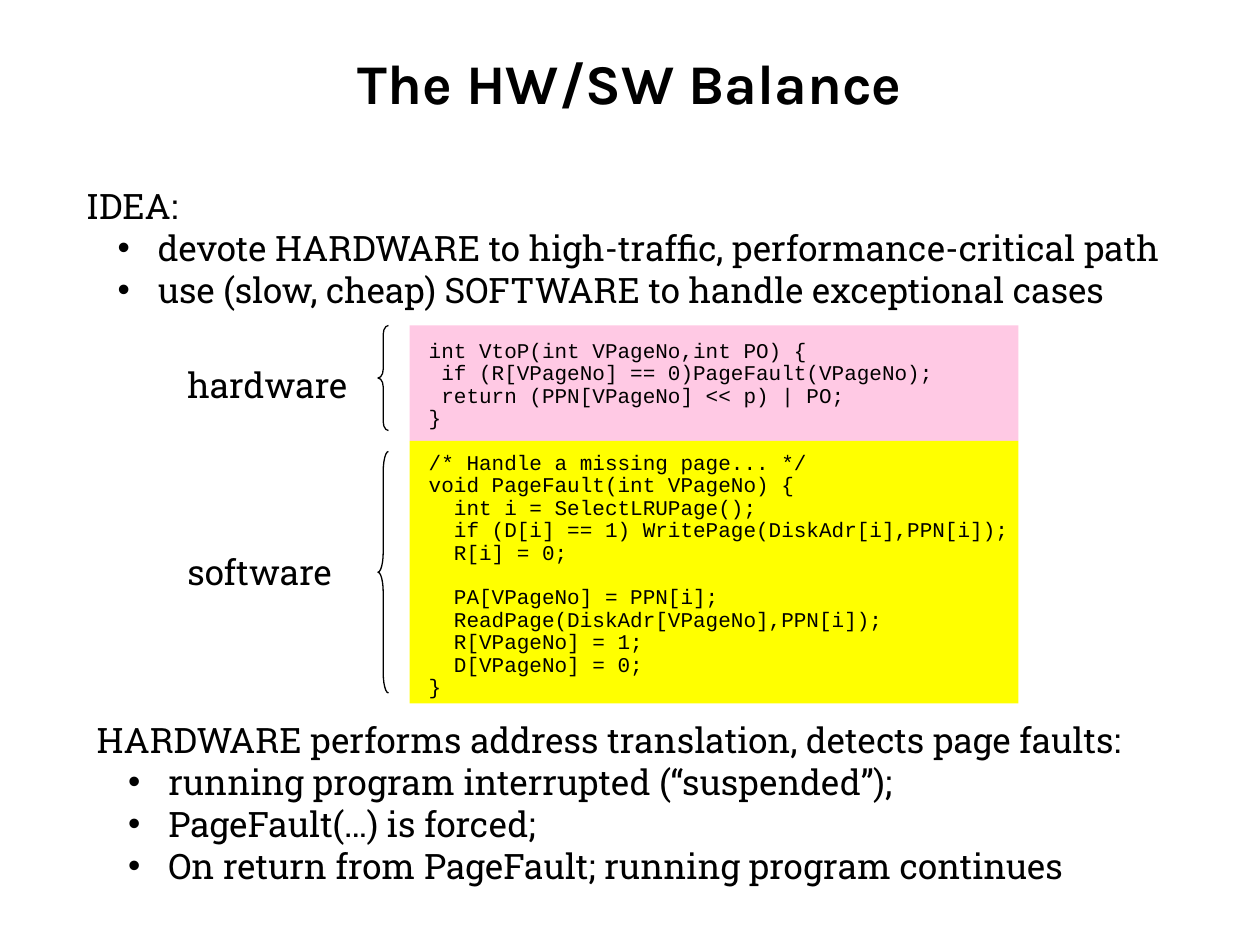
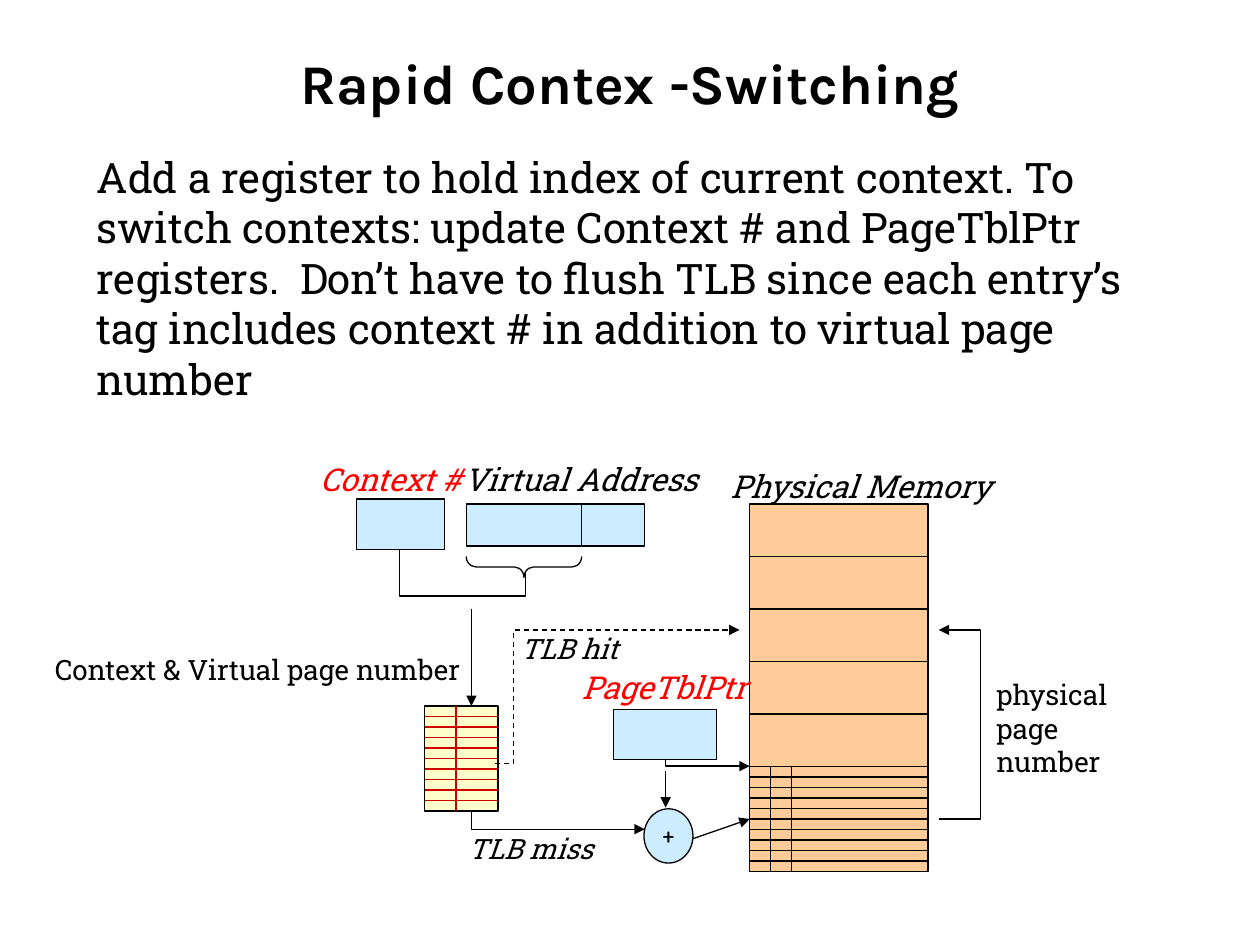
from itertools import pairwise
from lxml.etree import SubElement as Sub
from pptx import Presentation
from pptx.dml.color import RGBColor as Rgb
from pptx.enum.dml import MSO_LINE as Dash
from pptx.enum.shapes import MSO_CONNECTOR as Conn, MSO_SHAPE as Form
from pptx.enum.text import MSO_ANCHOR as Anchor, MSO_AUTO_SIZE as Auto, PP_ALIGN as Align
from pptx.oxml.ns import qn
from pptx.util import Pt

BLACK, RED, RULE = "000000", "FF0000", "CC0000"
PINK, YELLOW, BLUE, CREAM, PEACH = "FFC9E4", "FFFF00", "CCECFF", "FFFFCC", "FFCC99"
HEAD, BODY, CODE = "Karla", "Roboto Slab", "Courier New"
GAP = 12.8

LISTS = [
    ((42, 102, 665, 80), "IDEA:", [
        "devote HARDWARE to high-traffic, performance-critical path",
        "use (slow, cheap) SOFTWARE to handle exceptional cases"]),
    ((48, 407, 634, 104), "HARDWARE performs address translation, detects page faults:", [
        "running program interrupted (“suspended”);",
        "PageFault(…) is forced;",
        "On return from PageFault; running program continues"]),
]

PARTS = [
    ("hardware", 204, PINK, (186, 66), 8.6, (186, 60), """\
int VtoP(int VPageNo,int PO) {
 if (R[VPageNo] == 0)PageFault(VPageNo);
 return (PPN[VPageNo] << p) | PO;
}"""),
    ("software", 311, YELLOW, (252, 150), 6.6, (258, 138), """\
/* Handle a missing page... */
void PageFault(int VPageNo) {
  int i = SelectLRUPage();
  if (D[i] == 1) WritePage(DiskAdr[i],PPN[i]);
  R[i] = 0;

  PA[VPageNo] = PPN[i];
  ReadPage(DiskAdr[VPageNo],PPN[i]);
  R[VPageNo] = 1;
  D[VPageNo] = 0;
}"""),
]

INTRO = ("Add a register to hold index of current context. To switch contexts: "
         "update Context # and PageTblPtr registers.  Don’t have to flush TLB since "
         "each entry’s tag includes context # in addition to virtual page number")

LABELS = [
    ("Virtual Address", (257.8, 259.2, 156, 29), 18, BLACK, True, Align.LEFT),
    ("Physical Memory", (410.4, 263.5, 167, 29), 18, BLACK, True, Align.LEFT),
    ("Context #", (175.7, 259.2, 101.5, 29), 18, RED, True, Align.LEFT),
    ("PageTblPtr", (325.4, 378, 113, 29), 18, RED, True, Align.LEFT),
    ("TLB hit", (290.2, 357.1, 74, 27), 16, BLACK, True, Align.LEFT),
    ("TLB miss", (260.6, 471.6, 91, 27), 16, BLACK, True, Align.LEFT),
    ("Context & Virtual page number", (7.2, 369.4, 263, 27), 16, BLACK, False, Align.RIGHT),
    ("physical\npage\nnumber", (562.3, 383.8, 80, 66), 16, BLACK, False, Align.LEFT),
]

TLB = (242.6, 403.4, 42, 60)
ADDR = (266.4, 288, 102, 24)
MEM = (428.4, 288, 102, 210)
CONTEXT = (203.8, 285.1, 50.4, 28.8)
TABLE = (350.6, 405.4, 59, 28.8)
ADDER = (368, 462.2, 28, 31)

ARROWS = [
    ((380.4, 440.6), (380.4, 461.5)),
    ((395.3, 479.5), (428.4, 468)),
    ((269.4, 347.8), (269.4, 403.4)),
]
ROUTES = [
    ([(269.4, 463.4), (269.4, 473.8), (368.4, 473.8)], True, False),
    ([(536.4, 468), (560.4, 468), (560.4, 360), (536.4, 360)], True, False),
    ([(380.4, 409), (380.4, 437.8), (428.4, 437.8)], True, False),
    ([(282.8, 436.3), (293.6, 436.3), (293.6, 360), (422.6, 360)], True, True),
    ([(300.2, 326.2), (300.2, 340.6), (228.2, 340.6), (228.2, 311.8)], False, False),
]


def tint(hex):
    return Rgb.from_string(hex)


def pts(*nums):
    return [Pt(num) for num in nums]


def place(item, box):
    item.left, item.top, item.width, item.height = pts(*box)


def write(para, text, size, font=BODY, hue=BLACK, bold=False, slant=False):
    run = para.add_run()
    run.text = text
    face = run.font
    face.name, face.size, face.bold, face.italic = font, Pt(size), bold, slant
    face.color.rgb = tint(hue)


def lines(frame, count):
    return [frame.paragraphs[0]] + [frame.add_paragraph() for _ in range(count - 1)]


def mark(para, dot):
    props = para._p.get_or_add_pPr()
    props.set("marL", str(Pt(41 if dot else 0)))
    props.set("indent", str(Pt(-23 if dot else 0)))
    if dot:
        Sub(props, qn("a:buFont"), typeface="Arial")
        Sub(props, qn("a:buChar"), char="•")
    else:
        Sub(props, qn("a:buNone"))
    para.space_before = Pt(0)


def start(deck, kind, title):
    slide = deck.slides.add_slide(deck.slide_layouts[kind])
    head = slide.shapes.title
    place(head, (36, 21.6, 648, 50.4))
    frame = head.text_frame
    frame.auto_size, frame.vertical_anchor = Auto.NONE, Anchor.MIDDLE
    para = frame.paragraphs[0]
    para.alignment = Align.CENTER
    write(para, title, 32, HEAD, bold=True)
    return slide


def fill_body(body, box, rows, size):
    place(body, box)
    frame = body.text_frame
    frame.auto_size, frame.word_wrap = Auto.NONE, True
    for para, (text, dot) in zip(lines(frame, len(rows)), rows):
        mark(para, dot)
        write(para, text, size)


def label(slide, text, box, size, hue=BLACK, slant=False, align=Align.LEFT):
    frame = slide.shapes.add_textbox(*pts(*box)).text_frame
    frame.word_wrap = False
    rows = text.split("\n")
    for para, row in zip(lines(frame, len(rows)), rows):
        para.alignment = align
        write(para, row, size, hue=hue, slant=slant)


def ink(item, hue=BLACK):
    item.line.color.rgb = tint(hue)
    item.line.width = Pt(0.75)


def shape(slide, form, box, fill=None, edge=True):
    item = slide.shapes.add_shape(form, *pts(*box))
    item.shadow.inherit = False
    if fill:
        item.fill.solid()
        item.fill.fore_color.rgb = tint(fill)
    else:
        item.fill.background()
    if edge:
        ink(item)
    else:
        item.line.fill.background()
    return item


def tip(item):
    Sub(item.element.spPr.find(qn("a:ln")), qn("a:tailEnd"), type="triangle")


def link(slide, a, b, hue=BLACK, arrow=False):
    item = slide.shapes.add_connector(Conn.STRAIGHT, *pts(*a, *b))
    ink(item, hue)
    if arrow:
        tip(item)
    Sub(item.element.spPr, qn("a:effectLst"))


def route(slide, spots, arrow, dashed):
    spots = [pts(*spot) for spot in spots]
    pen = slide.shapes.build_freeform(*spots[0])
    pen.add_line_segments(spots[1:], close=False)
    item = pen.convert_to_shape()
    item.shadow.inherit = False
    item.fill.background()
    ink(item)
    if dashed:
        item.line.dash_style = Dash.DASH
    if arrow:
        tip(item)


def rule(slide, box, rows=(), cols=(), top=0, hue=BLACK):
    x, y, wide, high = box
    for row in rows:
        link(slide, (x, y + row), (x + wide, y + row), hue)
    for col in cols:
        link(slide, (x + col, y + top), (x + col, y + high), hue)


def listing(slide, code, box, fill, inset):
    frame = shape(slide, Form.RECTANGLE, box, fill, edge=False).text_frame
    frame.word_wrap, frame.vertical_anchor = True, Anchor.TOP
    frame.margin_left, frame.margin_top = pts(11, inset)
    frame.margin_right = frame.margin_bottom = 0
    rows = code.split("\n")
    pairs = [(old, new) for old, new in pairwise([None] + rows) if new]
    for para, (old, new) in zip(lines(frame, len(pairs)), pairs):
        para.alignment, para.line_spacing = Align.LEFT, 0.89
        if old == "":
            para.space_before = Pt(GAP)
        write(para, new, 12, CODE)


def balance(deck):
    slide = start(deck, 3, "The HW/SW Balance")
    for spot, (box, lead, items) in enumerate(LISTS, 1):
        rows = [(lead, False)] + [(item, True) for item in items]
        fill_body(slide.placeholders[spot], box, rows, 20)
    for name, y, fill, (top, high), inset, (low, tall), code in PARTS:
        listing(slide, code, (234, top, 348, high), fill, inset)
        brace = shape(slide, Form.LEFT_BRACE, (216, low, 6, tall))
        brace.adjustments[0] = tall / 72
        label(slide, name, (100, y, 111, 32), 20)


def switching(deck):
    slide = start(deck, 1, "Rapid Contex -Switching")
    fill_body(slide.placeholders[1], (48, 83, 618, 153), [(INTRO, False)], 24)
    shape(slide, Form.RECTANGLE, TLB, CREAM)
    rule(slide, TLB, range(6, 60, 6), [18], hue=RULE)
    shape(slide, Form.RECTANGLE, ADDR, BLUE)
    rule(slide, ADDR, cols=[66])
    shape(slide, Form.RECTANGLE, MEM, PEACH)
    rule(slide, MEM, [*range(30, 150, 30), *range(150, 210, 6)], [12, 24], top=150)
    brace = shape(slide, Form.RIGHT_BRACE, (293.4, 291, 12, 66))
    brace.rotation = 90
    brace.adjustments[0] = 0.46
    for spots, arrow, dashed in ROUTES:
        route(slide, spots, arrow, dashed)
    for a, b in ARROWS:
        link(slide, a, b, arrow=True)
    for box in (CONTEXT, TABLE):
        shape(slide, Form.RECTANGLE, box, BLUE)
    frame = shape(slide, Form.OVAL, ADDER, BLUE).text_frame
    frame.word_wrap, frame.vertical_anchor = False, Anchor.MIDDLE
    frame.paragraphs[0].alignment = Align.CENTER
    write(frame.paragraphs[0], "+", 12)
    for item in LABELS:
        label(slide, *item)


def main():
    deck = Presentation()
    deck.slide_width, deck.slide_height = pts(720, 540)
    balance(deck)
    switching(deck)
    deck.save("out.pptx")


if __name__ == "__main__":
    main()
